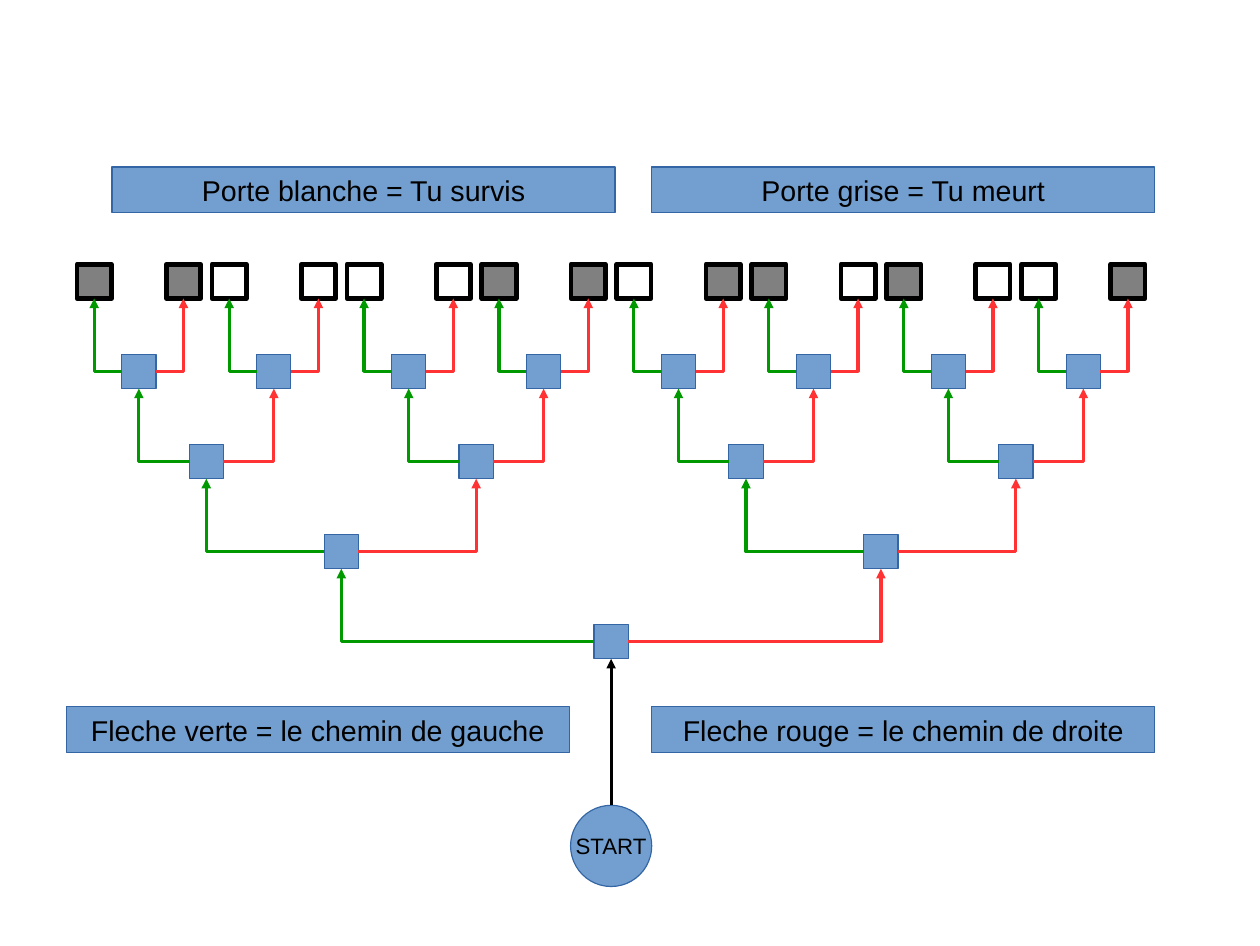
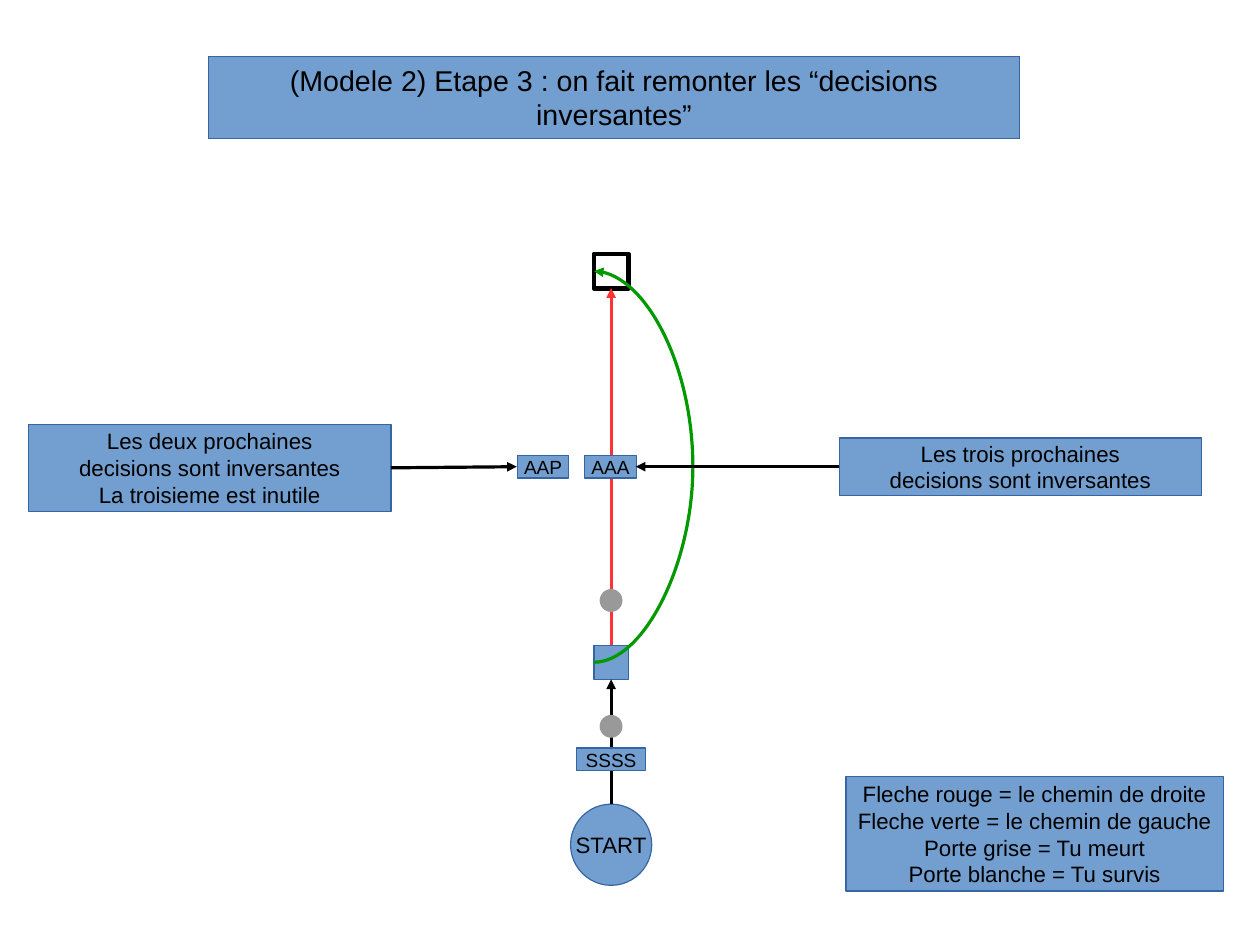
from dataclasses import dataclass

from lxml import etree
from pptx import Presentation
from pptx.dml.color import RGBColor
from pptx.enum import shapes, text
from pptx.oxml import ns
from pptx.util import Inches, Pt

BLUE = RGBColor(0x72, 0x9F, 0xCF)
BLUE_EDGE = RGBColor(0x34, 0x65, 0xA4)
WHITE = RGBColor(0xFF, 0xFF, 0xFF)
BLACK = RGBColor(0x00, 0x00, 0x00)
GREY = RGBColor(0x80, 0x80, 0x80)
DOT_GREY = RGBColor(0x99, 0x99, 0x99)
GREEN = RGBColor(0x00, 0x99, 0x00)
RED = RGBColor(0xFF, 0x33, 0x33)

FONT = "Arial"
NODE = 0.3
DOT = 0.2
START = 0.71
LEFT_SITE, BOTTOM_SITE, RIGHT_SITE = 1, 2, 3
RECTANGLE = shapes.MSO_SHAPE.RECTANGLE
OVAL = shapes.MSO_SHAPE.OVAL
STRAIGHT = shapes.MSO_CONNECTOR.STRAIGHT
ELBOW = shapes.MSO_CONNECTOR.ELBOW
CURVE = shapes.MSO_CONNECTOR.CURVE

DOORS = "GGWWWWGGWGGWGWWG"
SPREADS = [2.36, 1.18, 0.59, 0.39]
RED_RULE = "Fleche rouge = le chemin de droite"
GREEN_RULE = "Fleche verte = le chemin de gauche"
GREY_RULE = "Porte grise = Tu meurt"
WHITE_RULE = "Porte blanche = Tu survis"


@dataclass
class Box:
    left: float
    top: float
    width: float
    height: float

    @property
    def center(self):
        return self.left + self.width / 2

    @property
    def middle(self):
        return self.top + self.height / 2

    @property
    def right(self):
        return self.left + self.width

    @property
    def bottom(self):
        return self.top + self.height

    def inches(self):
        return [Inches(v) for v in (self.left, self.top, self.width, self.height)]


def paint(shape, fill=BLUE, edge=BLUE_EDGE, width=0):
    shape.fill.solid()
    shape.fill.fore_color.rgb = fill
    if edge is None:
        shape.line.fill.background()
    else:
        shape.line.color.rgb = edge
        shape.line.width = Pt(width)


def write(shape, lines, size):
    frame = shape.text_frame
    frame.word_wrap = False
    frame.auto_size = text.MSO_AUTO_SIZE.NONE
    frame.vertical_anchor = text.MSO_ANCHOR.MIDDLE
    for index, line in enumerate(lines):
        paragraph = frame.add_paragraph() if index else frame.paragraphs[0]
        paragraph.alignment = text.PP_ALIGN.CENTER
        run = paragraph.add_run()
        run.text = line
        run.font.name = FONT
        run.font.size = Pt(size)
        run.font.color.rgb = BLACK


def add_box(slide, box, lines=(), size=14, kind=RECTANGLE, **style):
    shape = slide.shapes.add_shape(kind, *box.inches())
    shape.shadow.inherit = False
    paint(shape, **style)
    write(shape, lines, size)
    return shape


def node_box(center, top):
    return Box(center - NODE / 2, top, NODE, NODE)


def add_door(slide, center, top, fill):
    return add_box(slide, node_box(center, top), fill=fill, edge=BLACK, width=3)


def add_line(slide, start, end, color, kind=STRAIGHT, preset=None, arrow="tailEnd"):
    points = [Inches(v) for v in (*start, *end)]
    line = slide.shapes.add_connector(kind, *points)
    line.line.color.rgb = color
    line.line.width = Pt(0)
    properties = line._element.spPr
    if preset:
        properties.find(ns.qn("a:prstGeom")).set("prst", preset)
    if arrow:
        outline = properties.find(ns.qn("a:ln"))
        etree.SubElement(outline, ns.qn(f"a:{arrow}"), type="triangle")
    etree.SubElement(properties, ns.qn("a:effectLst"))
    return line


def add_branch(slide, parent, child, site, color):
    branch = add_line(slide, (0, 0), (1, 1), color, ELBOW, "bentConnector2")
    branch.begin_connect(parent, site)
    branch.end_connect(child, BOTTOM_SITE)


def draw_tree(slide, box):
    step = (box.height - NODE) / len(SPREADS)
    doors = iter(DOORS)

    def grow(center, level):
        top = box.bottom - NODE - level * step
        if level == len(SPREADS):
            return add_door(slide, center, top, GREY if next(doors) == "G" else WHITE)
        node = add_box(slide, node_box(center, top))
        for side, site, color in ((-1, LEFT_SITE, GREEN), (1, RIGHT_SITE, RED)):
            child = grow(center + side * SPREADS[level], level + 1)
            add_branch(slide, node, child, site, color)
        return node

    grow(box.center, 0)


def draw_start(slide, box):
    circle = Box(box.center - START / 2, box.bottom - START, START, START)
    add_box(slide, circle, ["START"], kind=OVAL)
    add_line(slide, (box.center, circle.top), (box.center, box.top), BLACK)


def draw_path(slide, box):
    center = box.center
    door_bottom, node_top = box.top + NODE, box.bottom - NODE
    add_door(slide, center, box.top, WHITE)
    add_box(slide, node_box(center, node_top))
    add_line(slide, (center, node_top), (center, door_bottom), RED)
    bulge = (box.right, box.middle)
    left = center - NODE / 2
    for y, arrow in ((node_top + NODE / 2, None), (box.top + NODE / 2, "headEnd")):
        add_line(slide, (left, y), bulge, GREEN, CURVE, "curvedConnector2", arrow)


def draw_tags(slide, center):
    for left, top, width, label in (
        (center - 0.23, 3.98, 0.45, "AAA"),
        (center - 0.82, 3.98, 0.45, "AAP"),
        (center - 0.3, 6.54, 0.6, "SSSS"),
    ):
        add_box(slide, Box(left, top, width, 0.2), [label], 12)
    for top in (5.15, 6.25):
        dot = Box(center - DOT / 2, top, DOT, DOT)
        add_box(slide, dot, kind=OVAL, fill=DOT_GREY, edge=None)


def draw_note(slide, box, lines, target):
    add_box(slide, box, lines)
    edge = box.right if target > box.right else box.left
    add_line(slide, (edge, box.middle), (target, 4.08), BLACK)


def tree_slide(presentation):
    slide = presentation.slides.add_slide(presentation.slide_layouts[6])
    draw_tree(slide, Box(0.67, 2.31, 9.35, 3.45))
    draw_start(slide, Box(4.99, 5.76, START, 1.99))
    for left, top, rule in (
        (5.7, 6.18, RED_RULE),
        (0.58, 6.18, GREEN_RULE),
        (5.7, 1.46, GREY_RULE),
        (0.98, 1.46, WHITE_RULE),
    ):
        add_box(slide, Box(left, top, 4.4, 0.4), [rule], 18)


def step_slide(presentation):
    slide = presentation.slides.add_slide(presentation.slide_layouts[5])
    title = slide.shapes.title
    title.left, title.top, title.width, title.height = Box(1.82, 0.49, 7.1, 0.72).inches()
    paint(title)
    write(title, ["(Modele 2) Etape 3 : on fait remonter les “decisions inversantes”"], 18)
    path_box = Box(4.63, 2.22, 1.43, 3.72)
    draw_path(slide, path_box)
    draw_start(slide, Box(4.99, 5.94, START, 1.8))
    draw_tags(slide, path_box.center)
    inverting = "decisions sont inversantes"
    draw_note(slide, Box(7.34, 3.83, 3.17, 0.5), ["Les trois prochaines", inverting], 5.56)
    draw_note(
        slide,
        Box(0.25, 3.71, 3.17, 0.76),
        ["Les deux prochaines", inverting, "La troisieme est inutile"],
        4.52,
    )
    legend = [RED_RULE, GREEN_RULE, GREY_RULE, WHITE_RULE]
    add_box(slide, Box(7.4, 6.79, 3.3, 1), legend)


def main():
    presentation = Presentation()
    presentation.slide_width = Inches(11.02)
    presentation.slide_height = Inches(8.27)
    tree_slide(presentation)
    step_slide(presentation)
    presentation.save("out.pptx")


if __name__ == "__main__":
    main()
